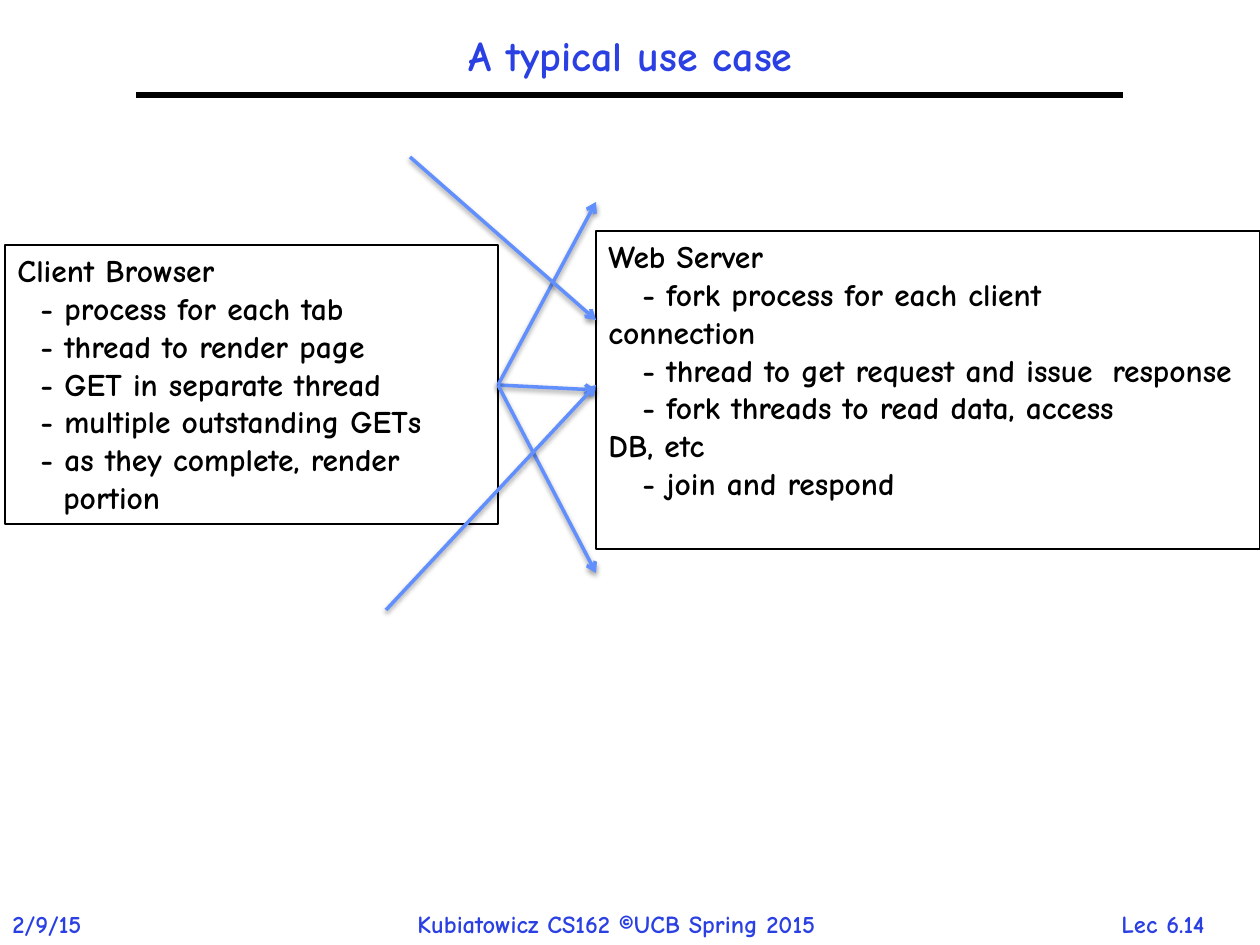
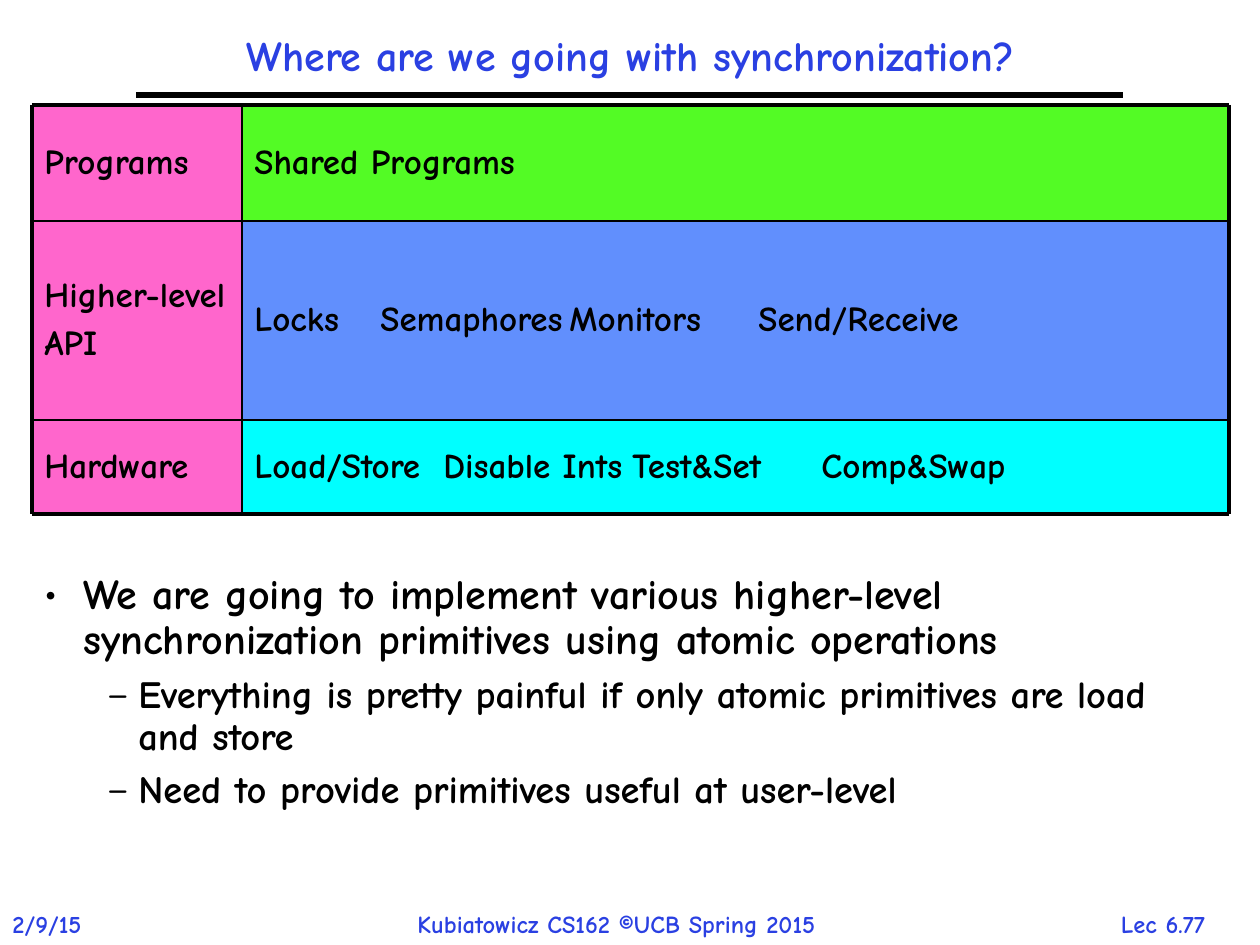
import itertools

import pptx
import pptx.dml.color
import pptx.enum.shapes
import pptx.enum.text
import pptx.oxml
import pptx.oxml.ns
import pptx.util

RGBColor = pptx.dml.color.RGBColor
Align = pptx.enum.text.PP_ALIGN
Anchor = pptx.enum.text.MSO_ANCHOR
qn = pptx.oxml.ns.qn

BLACK = RGBColor(0x00, 0x00, 0x00)
BLUE = RGBColor(0x2A, 0x40, 0xE2)
SKY = RGBColor(0x61, 0x8F, 0xFD)
PINK = RGBColor(0xFF, 0x66, 0xCC)
GREEN = RGBColor(0x53, 0xFB, 0x25)
CYAN = RGBColor(0x00, 0xFF, 0xFF)

FONT = "Comic Neue"
SCALE = 914400 / 126  # EMU per px
SOFT_SHADOW = (
    '<a:outerShdw blurRad="39370" dist="20320" dir="5400000" rotWithShape="0">'
    '<a:srgbClr val="000000"><a:alpha val="38000"/></a:srgbClr></a:outerShdw>'
)


def px(length):
    return pptx.util.Emu(round(length * SCALE))


def xml(tag, attributes="", inner=""):
    space = pptx.oxml.ns.nsdecls("a")
    return pptx.oxml.parse_xml(f"<a:{tag} {space} {attributes}>{inner}</a:{tag}>")


class LectureDeck:
    def __init__(self):
        self.deck = pptx.Presentation()
        self.deck.slide_width, self.deck.slide_height = px(1260), px(945)
        self.page = None

    def new_page(self, title, number):
        """Start a slide with the shared title, rule and footer."""
        self.page = self.deck.slides.add_slide(self.deck.slide_layouts[6])
        self.line((136, 95), (1123, 95), BLACK, 3)
        frame = self.text_box(137, 21, 987, 73)
        frame.vertical_anchor = Anchor.MIDDLE
        self.para(frame, title, 24, BLUE, align=Align.CENTER, spacing=0.9)
        footers = [
            (0, 111, "2/9/15", Align.LEFT),
            (405, 488, "Kubiatowicz CS162 ©UCB Spring 2015", Align.LEFT),
            (1087, 152, f"Lec {number}", Align.CENTER),
        ]
        for left, width, text, align in footers:
            frame = self.text_box(left, 903, width, 42, wrap=False)
            self.para(frame, text, 14, BLUE, align=align)

    def text_box(self, left, top, width, height, wrap=True):
        box = self.page.shapes.add_textbox(px(left), px(top), px(width), px(height))
        box.text_frame.word_wrap = wrap
        return box.text_frame

    def rectangle(self, left, top, width, height, fill=None):
        """Draw a filled box with middle text, or an outlined one with text on top."""
        box = self.page.shapes.add_shape(
            pptx.enum.shapes.MSO_SHAPE.RECTANGLE, px(left), px(top), px(width), px(height))
        box.shadow.inherit = False
        if fill:
            box.fill.solid()
            box.fill.fore_color.rgb = fill
            box.line.fill.background()
        else:
            box.fill.background()
            box.line.color.rgb = BLACK
            box.line.width = pptx.util.Pt(0.75)
        box.text_frame.word_wrap = True
        box.text_frame.vertical_anchor = Anchor.MIDDLE if fill else Anchor.TOP
        return box.text_frame

    def para(self, frame, text, size, color=BLACK, align=Align.LEFT, spacing=None,
             before=0, margin=0, indent=0, bullet=None, tabs=()):
        """Add a paragraph; a newline in the text becomes a line break."""
        first = frame.paragraphs[0]
        fresh = not first.runs
        para = first if fresh else frame.add_paragraph()
        para.alignment = align
        if spacing:
            para.line_spacing = spacing
        if before and not fresh:
            para.space_before = pptx.util.Pt(before)
        properties = para._p.get_or_add_pPr()
        properties.set("marL", str(px(margin)))
        properties.set("indent", str(px(indent)))
        if bullet:
            properties.append(xml("buFont", f'typeface="{FONT}"'))
            properties.append(xml("buChar", f'char="{bullet}"'))
        if tabs:
            stops = "".join(f'<a:tab pos="{px(stop)}" algn="l"/>' for stop in tabs)
            properties.append(xml("tabLst", inner=stops))
        for index, part in enumerate(text.split("\n")):
            if index:
                para.add_line_break()
            span = para.add_run()
            span.text = part
            span.font.name = FONT
            span.font.size = pptx.util.Pt(size)
            span.font.bold = True
            span.font.color.rgb = color

    def line(self, start, end, color, width, arrow=False):
        line = self.page.shapes.add_connector(
            pptx.enum.shapes.MSO_CONNECTOR.STRAIGHT, *map(px, start + end))
        line.line.color.rgb = color
        line.line.width = pptx.util.Pt(width)
        properties = line._element.spPr
        if arrow:
            properties.find(qn("a:ln")).append(xml("tailEnd", 'type="arrow"'))
        properties.append(xml("effectLst", inner=SOFT_SHADOW if arrow else ""))

    def layer_grid(self, columns, rows):
        """Rule the grid: heavy lines outside, thin lines inside."""
        left, right, top, bottom = columns[0], columns[-1], rows[0], rows[-1]
        for y in rows:
            self.line((left, y), (right, y), BLACK, 2.25 if y in (top, bottom) else 1)
        for x in columns:
            self.line((x, top), (x, bottom), BLACK, 2.25 if x in (left, right) else 1)


def use_case_page(lecture):
    lecture.new_page("A typical use case", "6.14")

    # Client and server boxes
    client = lecture.rectangle(5, 245, 493, 279)
    lecture.para(client, "Client Browser", 18)
    for text in ("process for each tab", "thread to render page", "GET in separate thread",
                 "multiple outstanding GETs", "as they complete, render\nportion"):
        lecture.para(client, f"- {text}", 18, margin=46, indent=-23)

    server = lecture.rectangle(596, 231, 664, 318)
    lecture.para(server, "Web Server", 18)
    for text in ("fork process for each client\nconnection",
                 "thread to get request and issue\tresponse",
                 "fork threads to read data, access\nDB, etc",
                 "join and respond"):
        lecture.para(server, f"- {text}", 18, indent=34, tabs=[504])

    # Requests
    client_port = (498, 385)
    requests = [
        (client_port, 390), (client_port, 202), (client_port, 573),
        ((386, 610), 385), ((410, 157), 320),
    ]
    for start, end_y in requests:
        lecture.line(start, (596, end_y), SKY, 2, arrow=True)


def synchronization_page(lecture):
    lecture.new_page("Where are we going with synchronization?", "6.77")

    # Goals
    goals = lecture.text_box(32, 567, 1187, 294)
    lecture.para(goals, "We are going to implement various higher-level synchronization "
                 "primitives using atomic operations", 24, spacing=0.9,
                 margin=39, indent=-39, bullet="•")
    for text in ("Everything is pretty painful if only atomic primitives are load and store",
                 "Need to provide primitives useful at user-level"):
        lecture.para(goals, text, 22, spacing=0.9, before=6.6,
                     margin=94, indent=-32, bullet="–")

    # Layers
    columns = [32, 242, 1229]
    rows = [105, 221, 420, 514]
    layers = [
        (["Programs"], "Shared Programs", GREEN, []),
        (["Higher-level", "API"], "Locks\tSemaphores\tMonitors\tSend/Receive", SKY,
         [121, 341, 510]),
        (["Hardware"], "Load/Store\tDisable Ints\tTest&Set\tComp&Swap", CYAN,
         [216, 432, 598]),
    ]
    for (top, bottom), (name, contents, fill, tabs) in zip(itertools.pairwise(rows), layers):
        cells = zip(itertools.pairwise(columns), (name, [contents]), (PINK, fill))
        for (left, right), lines, color in cells:
            frame = lecture.rectangle(left, top, right - left, bottom - top, color)
            for text in lines:
                lecture.para(frame, text, 20, spacing=0.9, before=6, tabs=tabs)
    lecture.layer_grid(columns, rows)


def main():
    lecture = LectureDeck()
    use_case_page(lecture)
    synchronization_page(lecture)
    lecture.deck.save("out.pptx")


if __name__ == "__main__":
    main()
